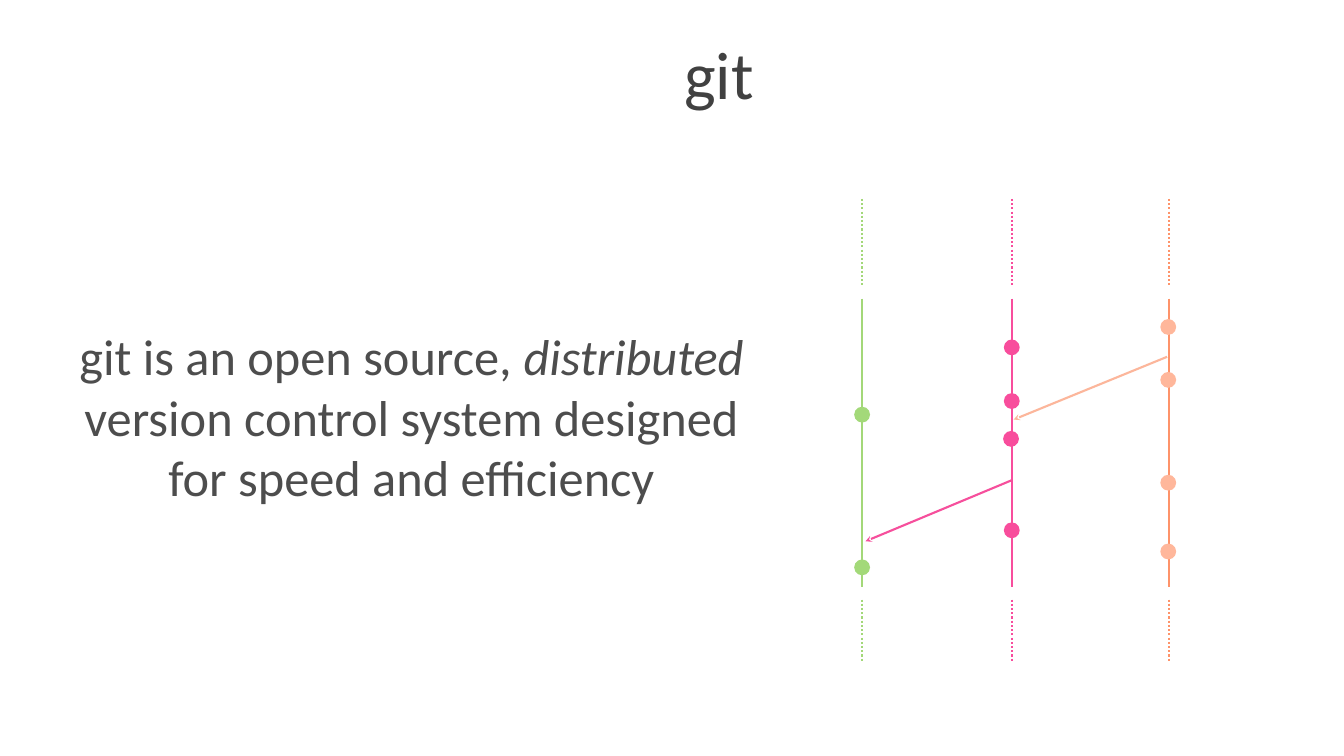
from pptx import Presentation
from pptx.dml.color import RGBColor
from pptx.enum.dml import MSO_LINE
from pptx.enum.shapes import MSO_CONNECTOR, MSO_SHAPE
from pptx.enum.text import MSO_ANCHOR, PP_ALIGN
from pptx.oxml.ns import qn
from pptx.util import Inches, Pt
from lxml import etree

STRAIGHT = MSO_CONNECTOR.STRAIGHT
OVAL = MSO_SHAPE.OVAL
DOTTED = MSO_LINE.ROUND_DOT
MIDDLE = MSO_ANCHOR.MIDDLE
CENTER = PP_ALIGN.CENTER

TITLE_GRAY = RGBColor(0x41, 0x41, 0x41)
BODY_GRAY = RGBColor(0x4D, 0x4D, 0x4D)
ORANGE = RGBColor(0xFE, 0x93, 0x6A)
PEACH = RGBColor(0xFF, 0xB7, 0x9B)
PEACH_ARROW = RGBColor(0xFC, 0xB6, 0x9B)
PINK = RGBColor(0xF8, 0x4D, 0x9D)
PINK_COMMIT = RGBColor(0xF8, 0x4D, 0x9C)
PINK_ARROW = RGBColor(0xF6, 0x4F, 0x9C)
GREEN = RGBColor(0xA3, 0xD8, 0x79)
GREEN_COMMIT = RGBColor(0xA3, 0xD9, 0x79)

COMMIT_SIZE = 0.21

prs = Presentation()
prs.slide_width = Inches(17.78)
prs.slide_height = Inches(10)
slide = prs.slides.add_slide(prs.slide_layouts[6])


def add_text(left, top, width, height, runs, size, color):
    box = slide.shapes.add_textbox(Inches(left), Inches(top), Inches(width), Inches(height))
    frame = box.text_frame
    frame.word_wrap = True
    frame.vertical_anchor = MIDDLE
    frame.margin_left = frame.margin_right = frame.margin_top = frame.margin_bottom = 0
    paragraph = frame.paragraphs[0]
    paragraph.alignment = CENTER
    for text, italic in runs:
        run = paragraph.add_run()
        run.text = text
        run.font.name = "Calibri"
        run.font.size = Pt(size)
        run.font.italic = italic
        run.font.color.rgb = color


def add_line(x1, y1, x2, y2, color):
    line = slide.shapes.add_connector(STRAIGHT, Inches(x1), Inches(y1), Inches(x2), Inches(y2))
    line.line.color.rgb = color
    line.line.width = Pt(2)
    etree.SubElement(line._element.spPr, qn("a:effectLst"))
    return line


# Title and definition
add_text(2.13, 0.41, 14.76, 1.11, [("git", False)], 64, TITLE_GRAY)
definition = [
    ("git is an open source, ", False),
    ("distributed ", True),
    ("version control system designed for speed and efficiency", False),
]
add_text(0.89, 4.31, 9.11, 2.39, definition, 48, BODY_GRAY)

# Branches: x, line colour, commit colour, commit positions (left, top)
branches = [
    (15.46, ORANGE, PEACH, [(15.35, 4.22), (15.35, 4.92), (15.35, 6.28), (15.35, 7.19)]),
    (13.39, PINK, PINK_COMMIT, [(13.28, 4.49), (13.28, 5.2), (13.27, 5.7), (13.28, 6.91)]),
    (11.4, GREEN, GREEN_COMMIT, [(11.3, 5.38), (11.3, 7.4)]),
]
for x, line_color, commit_color, commits in branches:
    add_line(x, 3.95, x, 7.76, line_color)
    for left, top in commits:
        commit = slide.shapes.add_shape(
            OVAL, Inches(left), Inches(top), Inches(COMMIT_SIZE), Inches(COMMIT_SIZE))
        commit.shadow.inherit = False
        commit.fill.solid()
        commit.fill.fore_color.rgb = commit_color
        commit.line.fill.background()
    # Dotted continuation below and above
    for top, bottom in [(7.93, 8.75), (2.63, 3.77)]:
        continuation = add_line(x, top, x, bottom, line_color)
        continuation.line.dash_style = DOTTED

# Merge arrows, with the head at the start point
merges = [
    (13.41, 5.55, 15.44, 4.72, PEACH_ARROW),
    (11.45, 7.16, 13.39, 6.35, PINK_ARROW),
]
for x1, y1, x2, y2, color in merges:
    merge = add_line(x1, y1, x2, y2, color)
    etree.SubElement(merge.line._get_or_add_ln(), qn("a:headEnd"), type="stealth")

prs.save("out.pptx")
